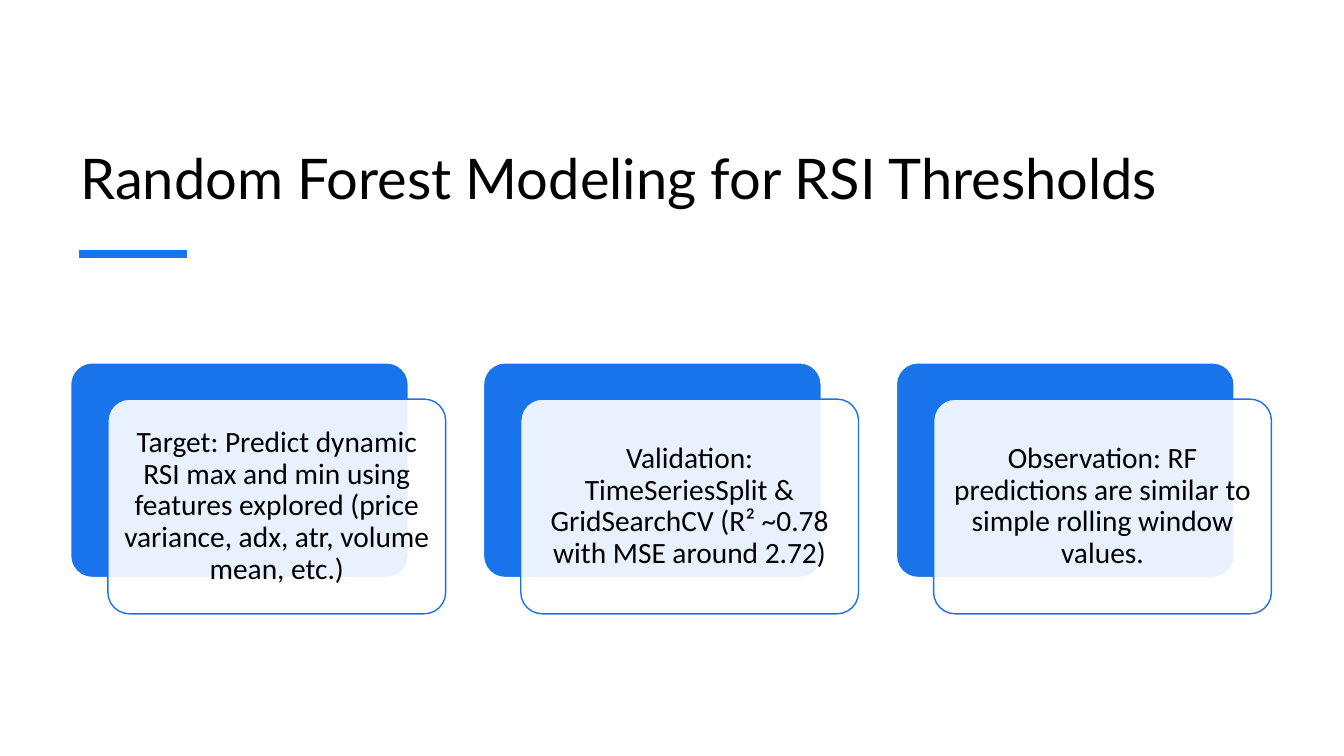
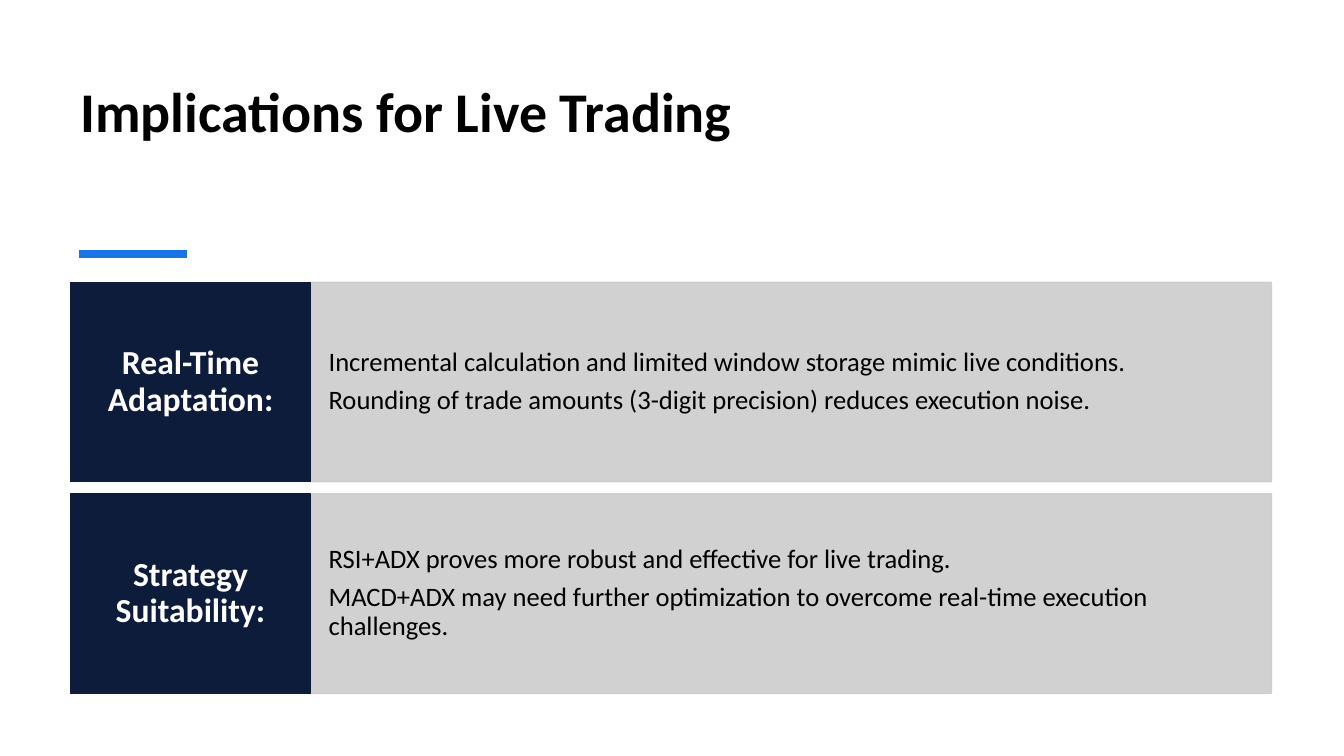
from lxml.etree import SubElement
from pptx import Presentation
from pptx.dml.color import RGBColor
from pptx.enum.shapes import MSO_CONNECTOR, MSO_SHAPE
from pptx.enum.text import MSO_ANCHOR, PP_ALIGN
from pptx.oxml.ns import qn
from pptx.util import Inches, Pt

COLORS = {"blue": "1973EB", "navy": "0D1C3B", "gray": "CCCDCE",
          "white": "FFFFFF", "black": "000000"}
LEFT, RIGHT = 0.7, 12.61
BODY = "Calibri"

CARDS = [
    "Target: Predict dynamic RSI max and min using features explored "
    "(price variance, adx, atr, volume mean, etc.)",
    "Validation: TimeSeriesSplit & GridSearchCV (R² ~0.78 with MSE around 2.72)",
    "Observation: RF predictions are similar to simple rolling window values.",
]
ROWS = [
    ("Real-Time Adaptation:", [
        "Incremental calculation and limited window storage mimic live conditions.",
        "Rounding of trade amounts (3-digit precision) reduces execution noise.",
    ]),
    ("Strategy Suitability:", [
        "RSI+ADX proves more robust and effective for live trading.",
        "MACD+ADX may need further optimization to overcome real-time "
        "execution challenges.",
    ]),
]


def color(name):
    return RGBColor.from_string(COLORS[name])


def fade(fill, percent):
    """Make a solid fill partly transparent; percent is its opacity."""
    tone = fill._xPr.find(qn("a:solidFill"))[0]
    SubElement(tone, qn("a:alpha"), val=str(percent * 1000))


def style(para, size, ink, bold=False, face=BODY):
    para.font.size = Pt(size)
    para.font.name = face
    para.font.bold = bold
    para.font.color.rgb = color(ink)


def add_box(slide, kind, x, y, w, h, fill, edge):
    box = slide.shapes.add_shape(kind, Inches(x), Inches(y), Inches(w), Inches(h))
    box.shadow.inherit = False
    box.fill.solid()
    box.fill.fore_color.rgb = color(fill)
    box.line.color.rgb = color(edge)
    box.line.width = Pt(1)
    if kind == MSO_SHAPE.ROUNDED_RECTANGLE:
        box.adjustments[0] = 0.1
    return box


def write(box, lines, size, ink, align, side, top, bold=False):
    """Fill a shape with paragraphs, inset by side and top."""
    frame = box.text_frame
    frame.word_wrap = True
    frame.vertical_anchor = MSO_ANCHOR.MIDDLE
    frame.margin_left = frame.margin_right = Inches(side)
    frame.margin_top = frame.margin_bottom = Inches(top)
    for i, line in enumerate(lines):
        para = frame.add_paragraph() if i else frame.paragraphs[0]
        para.text = line
        para.alignment = align
        para.line_spacing = 0.9
        para.space_after = Pt(0.35 * size)
        style(para, size, ink, bold)


def add_slide(deck, title, height, face, bold):
    """Add a slide with its title and the blue accent line."""
    slide = deck.slides.add_slide(deck.slide_layouts[6])
    box = slide.shapes.add_textbox(Inches(LEFT), Inches(0.62),
                                   Inches(RIGHT - LEFT), Inches(height))
    frame = box.text_frame
    frame.word_wrap = True
    frame.vertical_anchor = MSO_ANCHOR.BOTTOM
    frame.text = title
    style(frame.paragraphs[0], 40, "black", bold, face)

    accent = slide.shapes.add_connector(MSO_CONNECTOR.STRAIGHT, Inches(0.78),
                                        Inches(2.52), Inches(1.85), Inches(2.52))
    accent.line.color.rgb = color("blue")
    accent.line.width = Pt(6)
    SubElement(accent._element.spPr, qn("a:effectLst"))
    return slide


def add_cards(slide):
    w, h, top, shift = 3.35, 2.13, 3.6, 0.37
    step = (RIGHT - LEFT - w - shift) / (len(CARDS) - 1)
    kind = MSO_SHAPE.ROUNDED_RECTANGLE
    for i, text in enumerate(CARDS):
        x = LEFT + i * step
        add_box(slide, kind, x, top, w, h, "blue", "white")
        front = add_box(slide, kind, x + shift, top + 0.36, w, h, "white", "blue")
        fade(front.fill, 90)
        write(front, [text], 21, "black", PP_ALIGN.CENTER, 0.09, 0.09)


def add_rows(slide):
    top, h, gap, split = 2.8, 1.98, 0.12, 3.08
    kind = MSO_SHAPE.RECTANGLE
    for i, (head, lines) in enumerate(ROWS):
        y = top + i * (h + gap)
        panel = add_box(slide, kind, split, y, RIGHT - split, h, "gray", "gray")
        fade(panel.fill, 90)
        fade(panel.line.fill, 90)
        write(panel, lines, 19, "black", PP_ALIGN.LEFT, 0.18, 0.5)
        label = add_box(slide, kind, LEFT, y, split - LEFT, h, "navy", "navy")
        write(label, [head], 24, "white", PP_ALIGN.CENTER, 0.13, 0.2, bold=True)


def main():
    deck = Presentation()
    deck.slide_width, deck.slide_height = Inches(13.33), Inches(7.5)
    add_cards(add_slide(deck, "Random Forest Modeling for RSI Thresholds",
                        1.52, "Lato", False))
    add_rows(add_slide(deck, "Implications for Live Trading", 0.85, BODY, True))
    deck.save("out.pptx")


if __name__ == "__main__":
    main()
